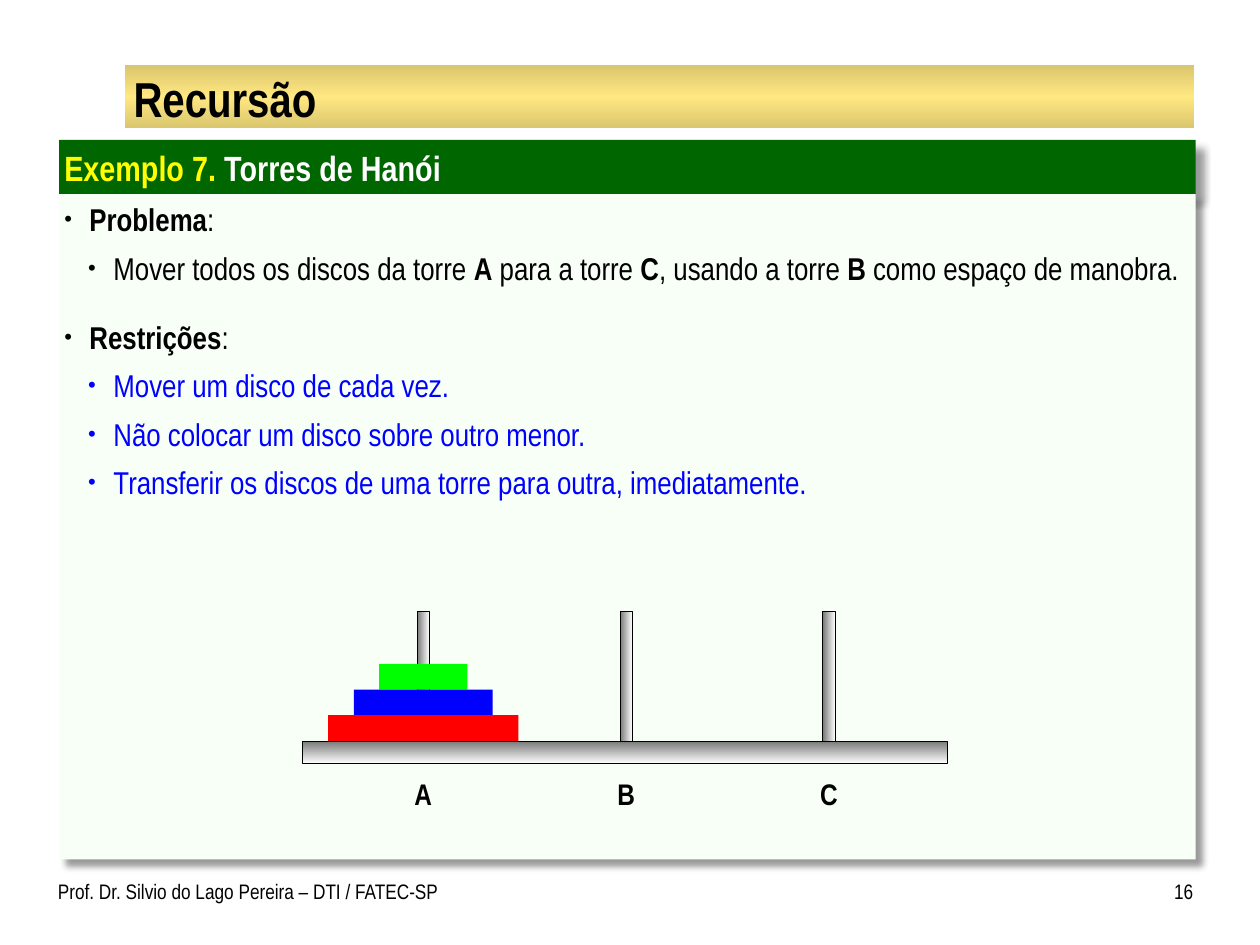
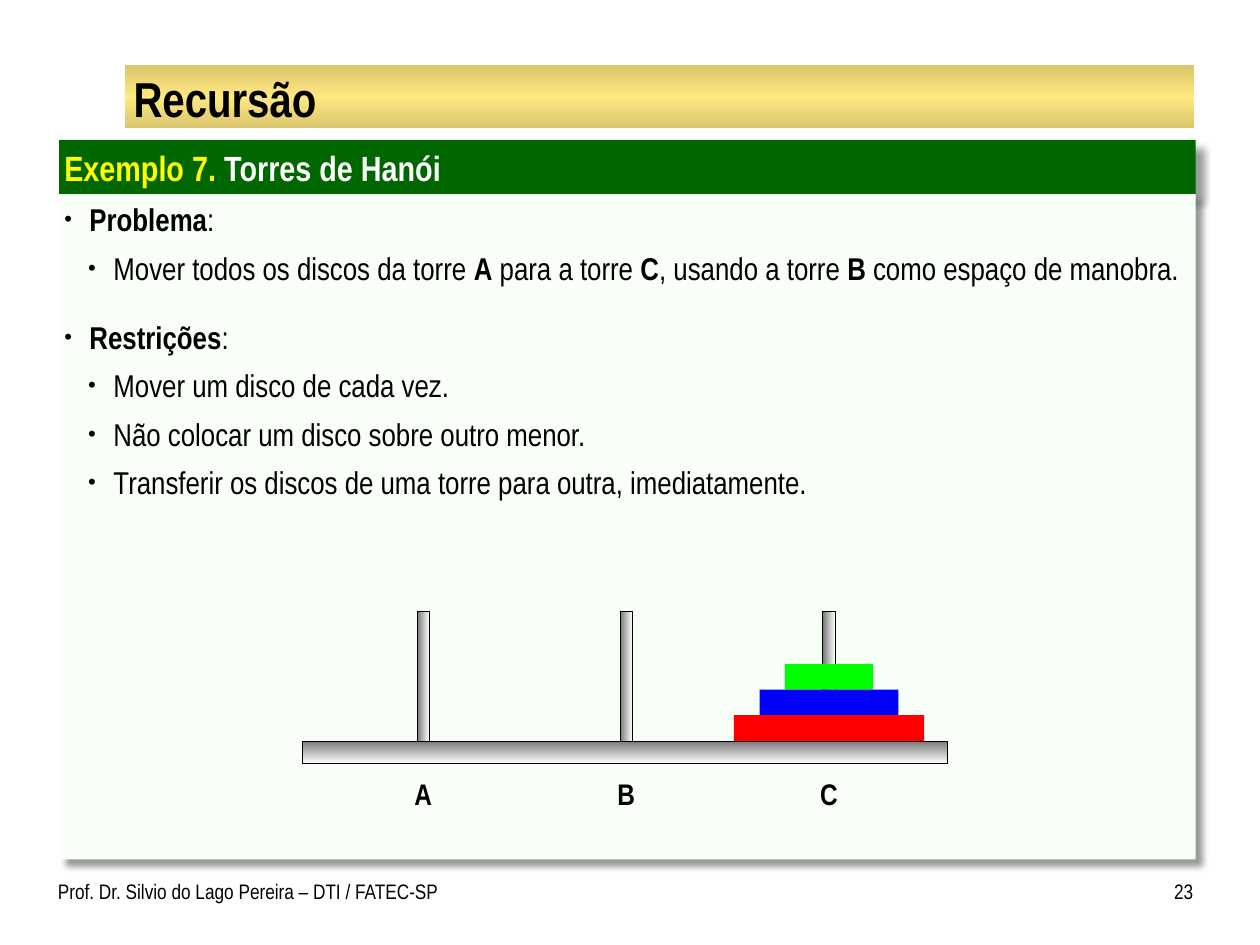
from lxml.etree import SubElement
from pptx import Presentation
from pptx.dml.color import RGBColor
from pptx.enum.shapes import MSO_SHAPE
from pptx.enum.text import MSO_ANCHOR, MSO_AUTO_SIZE, PP_ALIGN
from pptx.oxml import parse_xml
from pptx.oxml.ns import nsdecls, qn
from pptx.util import Inches, Pt

FONT = "Arial Narrow"
COLORS = {
    "black": "000000", "white": "FFFFFF", "yellow": "FFFF00",
    "header": "006600", "panel": "F7FFF7", "blue": "0000FF",
    "red": "FF0000", "lime": "00FF00", "gray": "767676",
    "gold": "DAC66E", "light_gold": "FFE781",
}

TITLE = "Recursão"
HEADER = [("Exemplo 7.", "yellow"), (" Torres de Hanói", "white")]
FOOTER = "Prof. Dr. Silvio do Lago Pereira – DTI / FATEC-SP"
SECTIONS = [
    ("*Problema*:", [
        "Mover todos os discos da torre *A* para a torre *C*, "
        "usando a torre *B* como espaço de manobra.",
    ]),
    ("*Restrições*:", [
        "Mover um disco de cada vez.",
        "Não colocar um disco sobre outro menor.",
        "Transferir os discos de uma torre para outra, imediatamente.",
    ]),
]
TOWERS = ["A", "B", "C"]
DISCS = [("lime", 0.7), ("blue", 1.1), ("red", 1.51)]
SLIDES = [
    {"number": "16", "discs_on": "A", "rule_color": "blue"},
    {"number": "23", "discs_on": "C", "rule_color": "black"},
]

MIDDLE_TOWER, TOWER_STEP = 4.97, 1.61
PEG_TOP, PEG_WIDTH = 4.85, 0.1
BASE_TOP, DISC_TOP = 5.88, 5.27


def rgb(name):
    return RGBColor.from_string(COLORS[name])


def place(sp, left, top, width, height):
    sp.left, sp.top = Inches(left), Inches(top)
    sp.width, sp.height = Inches(width), Inches(height)


def add_rect(slide, box, color=None):
    sp = slide.shapes.add_shape(MSO_SHAPE.RECTANGLE, *map(Inches, box))
    sp.shadow.inherit = False
    sp.line.fill.background()
    if color:
        sp.fill.solid()
        sp.fill.fore_color.rgb = rgb(color)
    return sp


def add_gradient_rect(slide, box, names, angle):
    sp = add_rect(slide, box)
    last = len(names) - 1
    stops = "".join(
        f'<a:gs pos="{100000 * i // last}"><a:srgbClr val="{COLORS[name]}"/></a:gs>'
        for i, name in enumerate(names))
    sp._element.spPr.insert(2, parse_xml(
        f'<a:gradFill {nsdecls("a")} rotWithShape="1"><a:gsLst>{stops}</a:gsLst>'
        f'<a:lin ang="{angle * 60000}" scaled="0"/></a:gradFill>'))
    return sp


def add_metal_rect(slide, box, angle):
    sp = add_gradient_rect(slide, box, ["gray", "white"], angle)
    sp.line.color.rgb = rgb("black")
    sp.line.width = Pt(0.25)


def cast_shadow(sp):
    sp.shadow.inherit = False
    effects = sp._element.spPr.find(qn("a:effectLst"))
    effects.append(parse_xml(
        f'<a:outerShdw {nsdecls("a")} blurRad="{Pt(4)}" dist="{Pt(6)}" dir="2700000" '
        f'algn="tl" rotWithShape="0"><a:srgbClr val="{COLORS["black"]}">'
        '<a:alpha val="40000"/></a:srgbClr></a:outerShdw>'))


def send_to_back(slide, sp):
    slide.shapes._spTree.insert(2, sp._element)


def set_frame(tf, insets, anchor=MSO_ANCHOR.TOP, wrap=True):
    tf.auto_size = MSO_AUTO_SIZE.NONE
    tf.word_wrap = wrap
    tf.vertical_anchor = anchor
    tf.margin_left, tf.margin_top, tf.margin_right, tf.margin_bottom = map(Inches, insets)


def add_run(p, text, size, color="black", bold=False):
    r = p.add_run()
    r.text = text
    r.font.name, r.font.size, r.font.bold = FONT, Pt(size), bold
    r.font.color.rgb = rgb(color)


def add_label(slide, text, box, size, insets, align, **frame):
    sp = slide.shapes.add_textbox(*map(Inches, box))
    set_frame(sp.text_frame, insets, **frame)
    p = sp.text_frame.paragraphs[0]
    p.alignment = align
    return p


def add_item(p, text, level, space, color):
    p.level = level
    pPr = p._p.get_or_add_pPr()
    pPr.set("marL", str(Inches((0.2, 0.39)[level])))
    pPr.set("indent", str(Inches(-0.2)))
    SubElement(pPr, qn("a:buSzPct")).set("val", "70000")
    SubElement(pPr, qn("a:buChar")).set("char", "•")
    p.space_before = Pt(space)
    p.alignment = PP_ALIGN.LEFT
    for i, part in enumerate(text.split("*")):
        if part:
            add_run(p, part, 18, color, bold=i % 2 == 1)


def fill_panel(body, rule_color):
    place(body, 0.47, 1.54, 9.02, 5.28)
    body.fill.solid()
    body.fill.fore_color.rgb = rgb("panel")
    cast_shadow(body)
    tf = body.text_frame
    set_frame(tf, (0.04, 0.05, 0.04, 0.05))
    for i, (heading, items) in enumerate(SECTIONS):
        p = tf.add_paragraph() if i else tf.paragraphs[0]
        add_item(p, heading, 0, 18 if i else 0, "black")
        for item in items:
            add_item(tf.add_paragraph(), item, 1, 6, rule_color if i else "black")


def add_frame(slide, number):
    title = slide.shapes.title
    place(title, 1, 0.54, 8.47, 0.47)
    set_frame(title.text_frame, (0.06, 0.01, 0.06, 0.01), MSO_ANCHOR.MIDDLE)
    p = title.text_frame.paragraphs[0]
    p.alignment = PP_ALIGN.LEFT
    add_run(p, TITLE, 28, bold=True)

    header = add_rect(slide, (0.47, 1.11, 9.02, 0.44), "header")
    cast_shadow(header)
    set_frame(header.text_frame, (0.04, 0.05, 0.04, 0.05))
    p = header.text_frame.paragraphs[0]
    p.alignment = PP_ALIGN.LEFT
    for text, color in HEADER:
        add_run(p, text, 20, color, bold=True)
    band = add_gradient_rect(slide, (0.99, 0.52, 8.49, 0.5),
                             ["gold", "light_gold", "gold"], 90)
    send_to_back(slide, header)
    send_to_back(slide, band)

    p = add_label(slide, FOOTER, (0.46, 6.92, 3.27, 0.42), 12,
                  (0, 0.05, 0.1, 0.05), PP_ALIGN.LEFT)
    add_run(p, FOOTER, 12)
    p = add_label(slide, number, (9.08, 6.92, 0.39, 0.42), 12,
                  (0.1, 0.05, 0, 0.05), PP_ALIGN.RIGHT)
    add_run(p, number, 12)


def add_towers(slide, discs_on):
    add_metal_rect(slide, (2.4, BASE_TOP, 5.12, 0.18), 90)
    centers = {name: MIDDLE_TOWER + (i - 1) * TOWER_STEP for i, name in enumerate(TOWERS)}
    for name, x in centers.items():
        add_metal_rect(slide, (x - PEG_WIDTH / 2, PEG_TOP, PEG_WIDTH, BASE_TOP - PEG_TOP), 0)
        p = add_label(slide, name, (x - 0.2, 6.09, 0.4, 0.41), 17, (0.1, 0.05, 0.1, 0.05),
                      PP_ALIGN.CENTER, anchor=MSO_ANCHOR.MIDDLE, wrap=False)
        add_run(p, name, 17, bold=True)
    height = (BASE_TOP - DISC_TOP) / len(DISCS)
    for i, (color, width) in enumerate(DISCS):
        add_rect(slide, (centers[discs_on] - width / 2, DISC_TOP + i * height, width, height),
                 color)


def main():
    prs = Presentation()
    prs.slide_width, prs.slide_height = Inches(10), Inches(7.5)
    for content in SLIDES:
        slide = prs.slides.add_slide(prs.slide_layouts[1])
        add_frame(slide, content["number"])
        fill_panel(slide.placeholders[1], content["rule_color"])
        add_towers(slide, content["discs_on"])
    prs.save("out.pptx")


if __name__ == "__main__":
    main()
